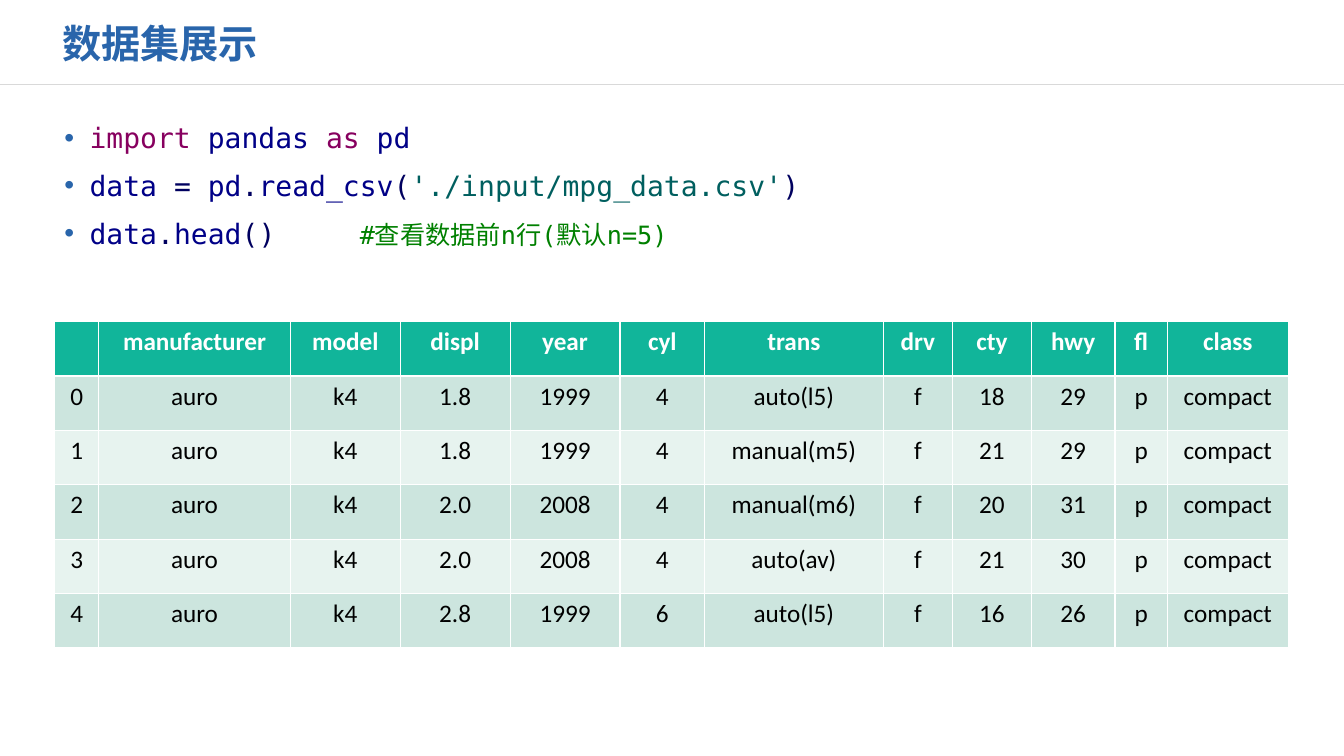
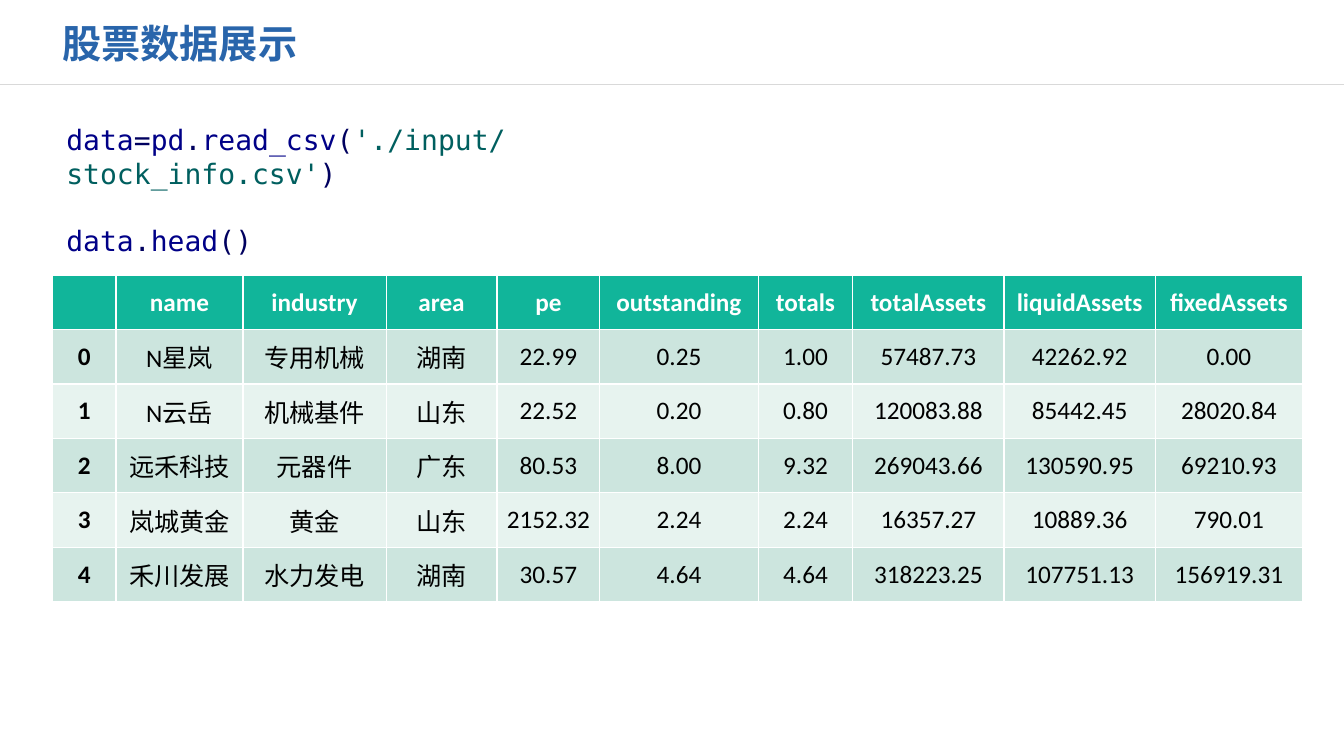
from dataclasses import dataclass

from lxml import etree
from pptx import Presentation
from pptx.dml.color import RGBColor
from pptx.enum.shapes import MSO_CONNECTOR
from pptx.enum.text import MSO_ANCHOR, PP_ALIGN
from pptx.oxml.ns import qn
from pptx.util import Pt

LINE = MSO_CONNECTOR.STRAIGHT
TOP, MID = MSO_ANCHOR.TOP, MSO_ANCHOR.MIDDLE
CENTER = PP_ALIGN.CENTER
SCALE = 9144
WIDE, HIGH = 1333, 750


@dataclass(frozen=True)
class Theme:
    """Hold the colours, fonts and type sizes."""

    blue: str = "2965AB"
    rule: str = "D9D9D9"
    head: str = "11B59A"
    bands: tuple = ("CCE5DE", "E7F3EF")
    white: str = "FFFFFF"
    black: str = "000000"
    word: str = "87005F"
    name: str = "000087"
    sign: str = "00005F"
    text: str = "005F5F"
    note: str = "008000"
    sans: str = "Noto Sans CJK SC"
    mono: str = "DejaVu Sans Mono"
    grid: str = "Calibri"
    title: int = 28
    code: int = 20
    small: int = 18


T = Theme()


def px(n):
    """Turn px into EMU."""
    return int(n * SCALE)


def rgb(hue):
    """Turn a hex string into a colour."""
    return RGBColor.from_string(hue)


def style(para, face, size, hue=None, bold=False):
    """Set the font of a paragraph, with its East Asian face."""
    font = para.font
    font.size, font.bold = Pt(size), bold
    if hue:
        font.color.rgb = rgb(hue)
    font.name = face
    base = para._p.pPr.find(qn("a:defRPr"))
    etree.SubElement(base, qn("a:ea"), typeface=T.sans)


def add_box(slide, box, anchor=TOP):
    """Add a wrapping text box and return its frame."""
    frame = slide.shapes.add_textbox(*map(px, box)).text_frame
    frame.word_wrap = True
    frame.vertical_anchor = anchor
    return frame


def add_head(slide, title):
    """Draw the title and the rule below it."""
    rule = slide.shapes.add_connector(LINE, 0, px(84), px(WIDE), px(84))
    rule.line.color.rgb = rgb(T.rule)
    rule.line.width = Pt(1)
    etree.SubElement(rule._element.spPr, qn("a:effectLst"))
    para = add_box(slide, (52, 13, 532, 58), MID).paragraphs[0]
    para.text = title
    style(para, T.sans, T.title, T.blue, True)


def add_mark(para, tab):
    """Give a paragraph a hanging bullet and one tab stop."""
    props = para._p.get_or_add_pPr()
    props.set("marL", str(px(25)))
    props.set("indent", str(px(-25)))
    tint = etree.SubElement(props, qn("a:buClr"))
    etree.SubElement(tint, qn("a:srgbClr"), val=T.blue)
    etree.SubElement(props, qn("a:buFont"), typeface="Arial")
    etree.SubElement(props, qn("a:buChar"), char="•")
    stops = etree.SubElement(props, qn("a:tabLst"))
    etree.SubElement(stops, qn("a:tab"), pos=str(px(tab)), algn="l")


def add_code(slide, box, lines, gap, tab=None):
    """Write coloured lines of code, bulleted when a tab stop is given."""
    frame = add_box(slide, box)
    for i, line in enumerate(lines):
        para = frame.add_paragraph() if i else frame.paragraphs[0]
        if tab:
            add_mark(para, tab)
        if i:
            para.space_before = Pt(gap)
        style(para, T.mono, T.code)
        for text, hue in line:
            run = para.add_run()
            run.text = text
            run.font.color.rgb = rgb(hue)
            if hue == T.note:
                run.font.size = Pt(T.small)


def add_grid(slide, spot, cols, rows, anchor, lead):
    """Draw a banded table; lead makes the first column bold."""
    size = sum(cols), 54 * len(rows)
    shape = slide.shapes.add_table(len(rows), len(cols), *map(px, spot + size))
    grid = shape.table
    for col, width in zip(grid.columns, cols):
        col.width = px(width)
    for r, row in enumerate(rows):
        for c, text in enumerate(row):
            cell = grid.cell(r, c)
            cell.fill.solid()
            cell.fill.fore_color.rgb = rgb(T.bands[(r - 1) % 2] if r else T.head)
            cell.margin_left = cell.margin_right = px(5)
            cell.vertical_anchor = anchor
            para = cell.text_frame.paragraphs[0]
            para.text = text
            para.alignment = CENTER
            hue = T.black if r else T.white
            style(para, T.grid, T.small, hue, r == 0 or (lead and c == 0))


def read(path, gap):
    """Give the code tokens that load a file."""
    return [("data", T.name), (f"{gap}={gap}", T.sign), ("pd", T.name),
            (".", T.sign), ("read_csv", T.name), ("(", T.sign),
            (f"'{path}'", T.text), (")", T.sign)]


PEEK = [("data", T.name), (".", T.sign), ("head", T.name), ("()", T.sign)]
LOAD = [("import", T.word), (" pandas ", T.name), ("as", T.word), (" pd", T.name)]
NOTE = [("\t", T.sign), ("#查看数据前n行(默认n=5)", T.note)]

CARS = [
    ("", "manufacturer", "model", "displ", "year", "cyl", "trans", "drv",
     "cty", "hwy", "fl", "class"),
    *((str(i), "auro", "k4", *row, "p", "compact") for i, row in enumerate([
        ("1.8", "1999", "4", "auto(l5)", "f", "18", "29"),
        ("1.8", "1999", "4", "manual(m5)", "f", "21", "29"),
        ("2.0", "2008", "4", "manual(m6)", "f", "20", "31"),
        ("2.0", "2008", "4", "auto(av)", "f", "21", "30"),
        ("2.8", "1999", "6", "auto(l5)", "f", "16", "26"),
    ])),
]
STOCKS = [
    ("", "name", "industry", "area", "pe", "outstanding", "totals",
     "totalAssets", "liquidAssets", "fixedAssets"),
    ("0", "N星岚", "专用机械", "湖南", "22.99", "0.25", "1.00",
     "57487.73", "42262.92", "0.00"),
    ("1", "N云岳", "机械基件", "山东", "22.52", "0.20", "0.80",
     "120083.88", "85442.45", "28020.84"),
    ("2", "远禾科技", "元器件", "广东", "80.53", "8.00", "9.32",
     "269043.66", "130590.95", "69210.93"),
    ("3", "岚城黄金", "黄金", "山东", "2152.32", "2.24", "2.24",
     "16357.27", "10889.36", "790.01"),
    ("4", "禾川发展", "水力发电", "湖南", "30.57", "4.64", "4.64",
     "318223.25", "107751.13", "156919.31"),
]


def add_cars(slide):
    """Build the slide on the car data."""
    add_head(slide, "数据集展示")
    lines = [LOAD, read("./input/mpg_data.csv", " "), PEEK + NOTE]
    add_code(slide, (54, 115, 1226, 180), lines, 10, 293)
    cols = (44, 190, 109, 109, 109, 84, 177, 69, 78, 83, 52, 120)
    add_grid(slide, (54, 319), cols, CARS, TOP, False)


def add_stocks(slide):
    """Build the slide on the stock data."""
    add_head(slide, "股票数据展示")
    lines = [read("./input/stock_info.csv", ""), PEEK]
    add_code(slide, (56, 117, 667, 145), lines, 24)
    cols = (63, 126, 142, 110, 102, 157, 94, 150, 150, 146)
    add_grid(slide, (52, 273), cols, STOCKS, MID, True)


def main():
    """Build and save the deck."""
    deck = Presentation()
    deck.slide_width, deck.slide_height = px(WIDE), px(HIGH)
    for build in (add_cars, add_stocks):
        build(deck.slides.add_slide(deck.slide_layouts[6]))
    deck.save("out.pptx")


if __name__ == "__main__":
    main()
